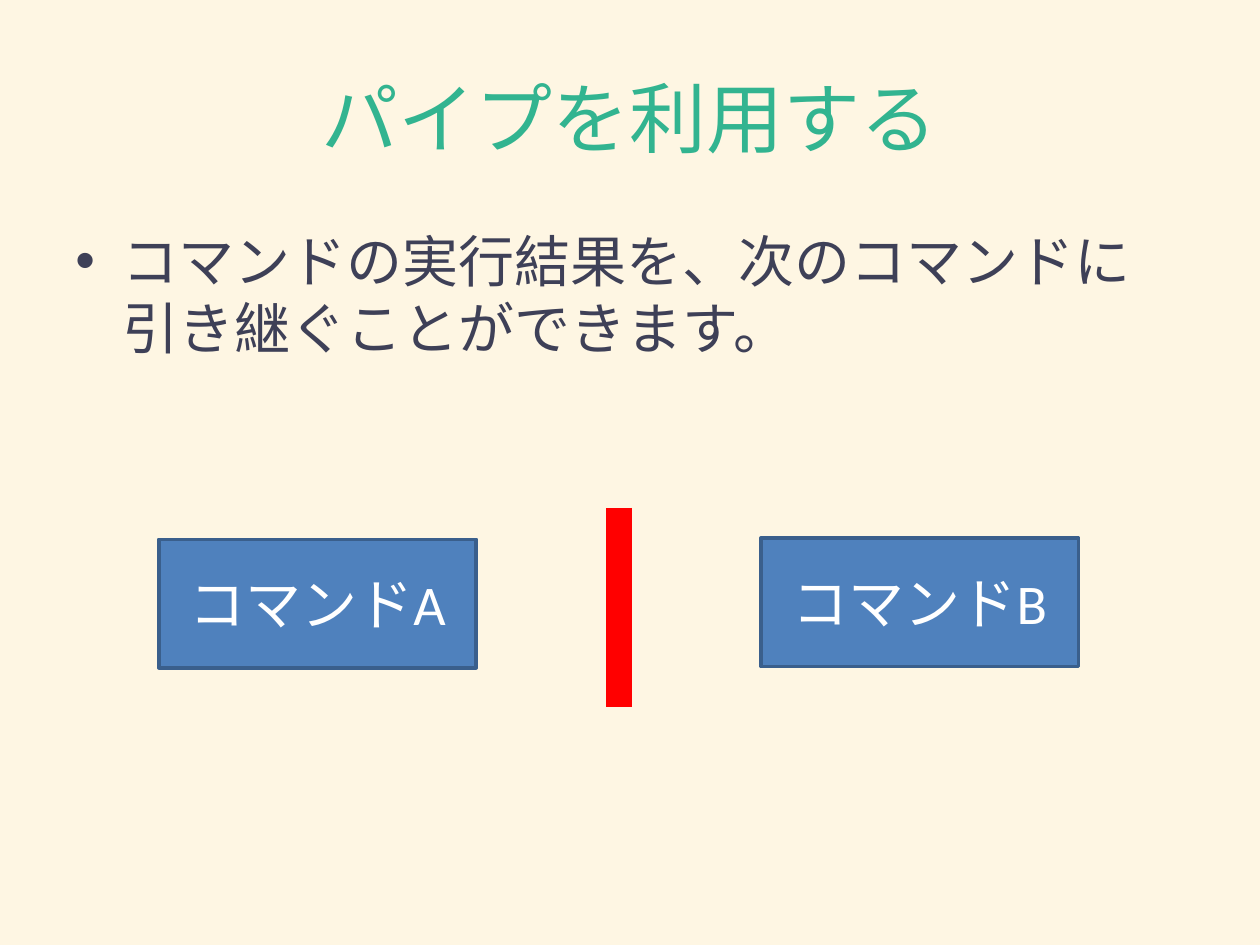
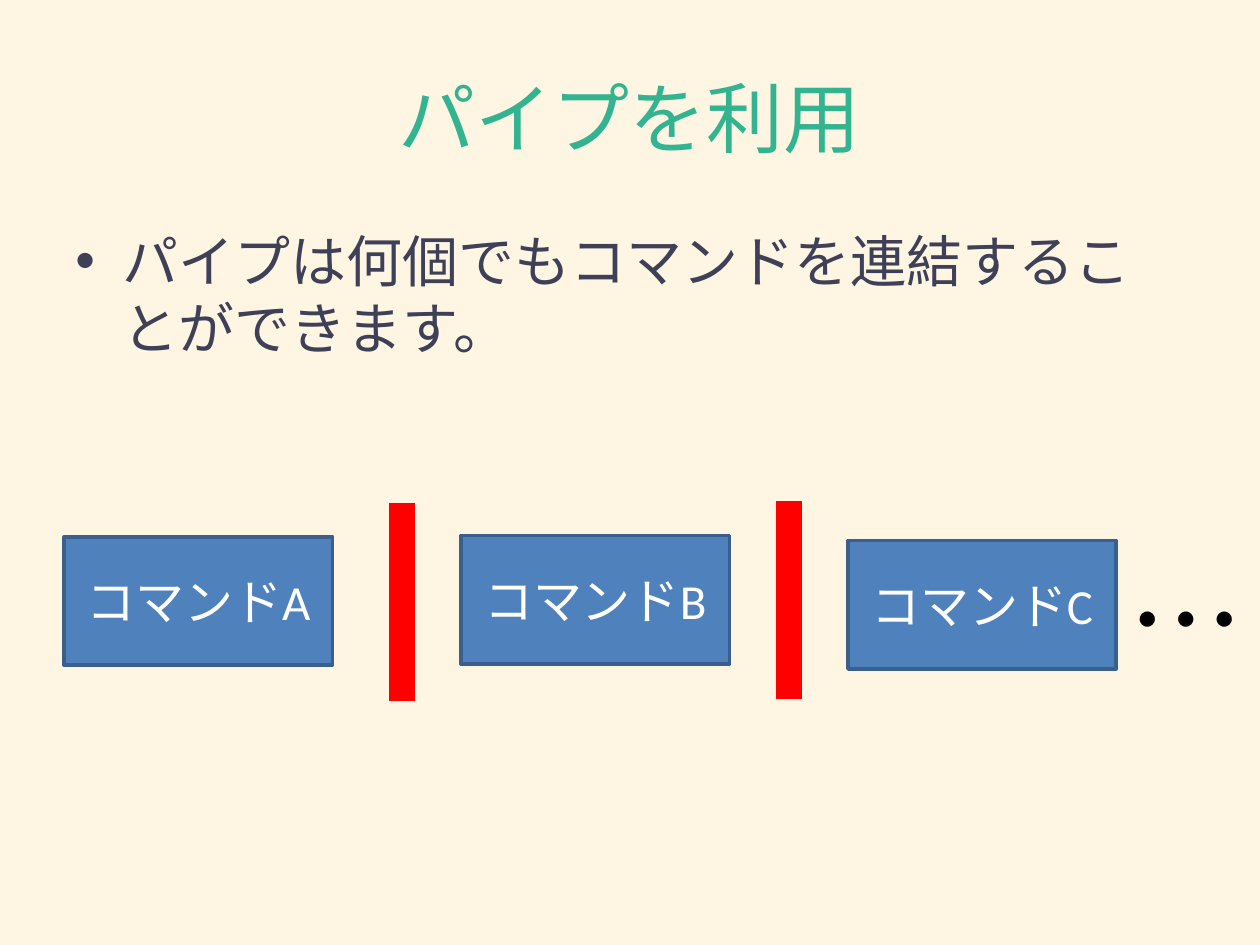
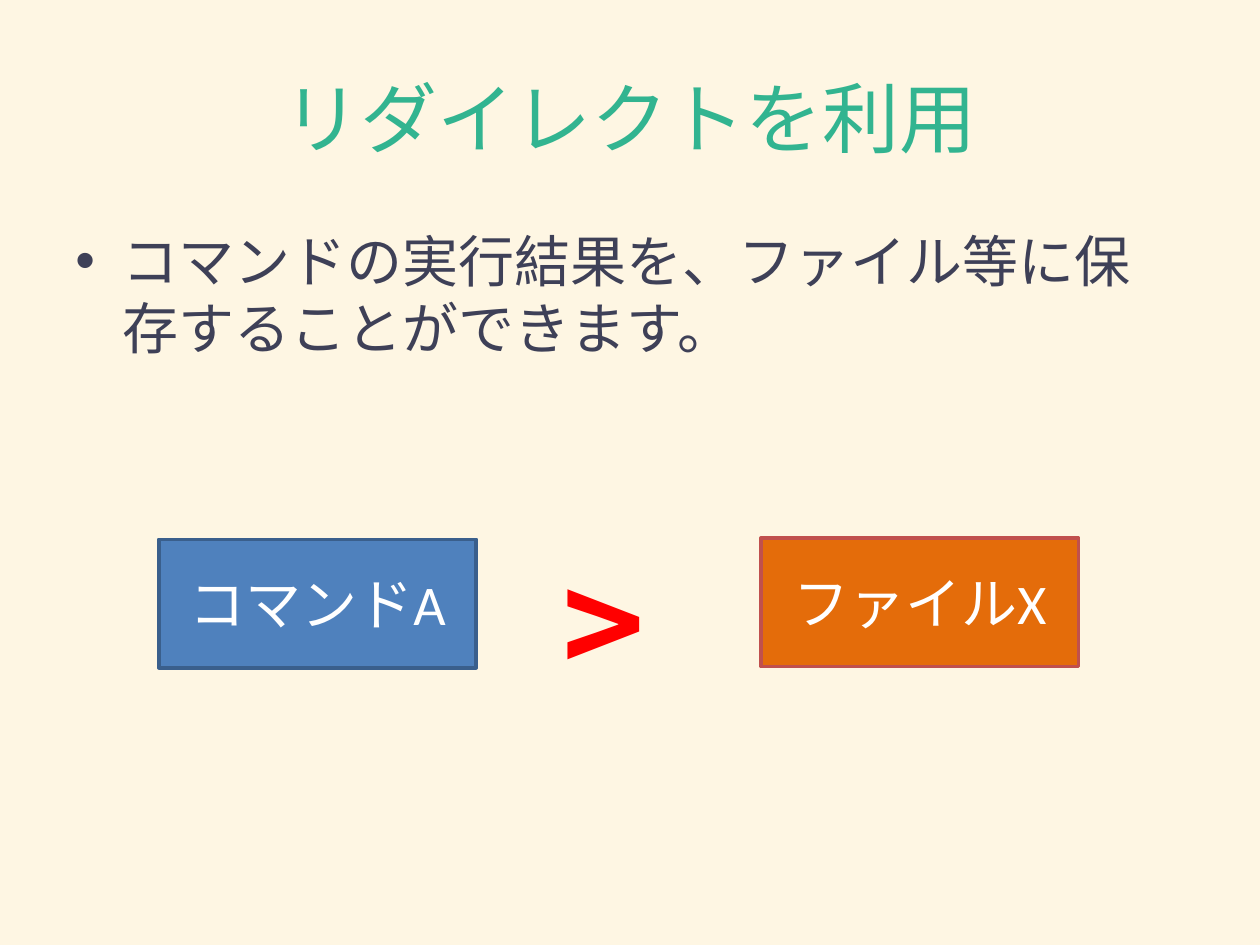
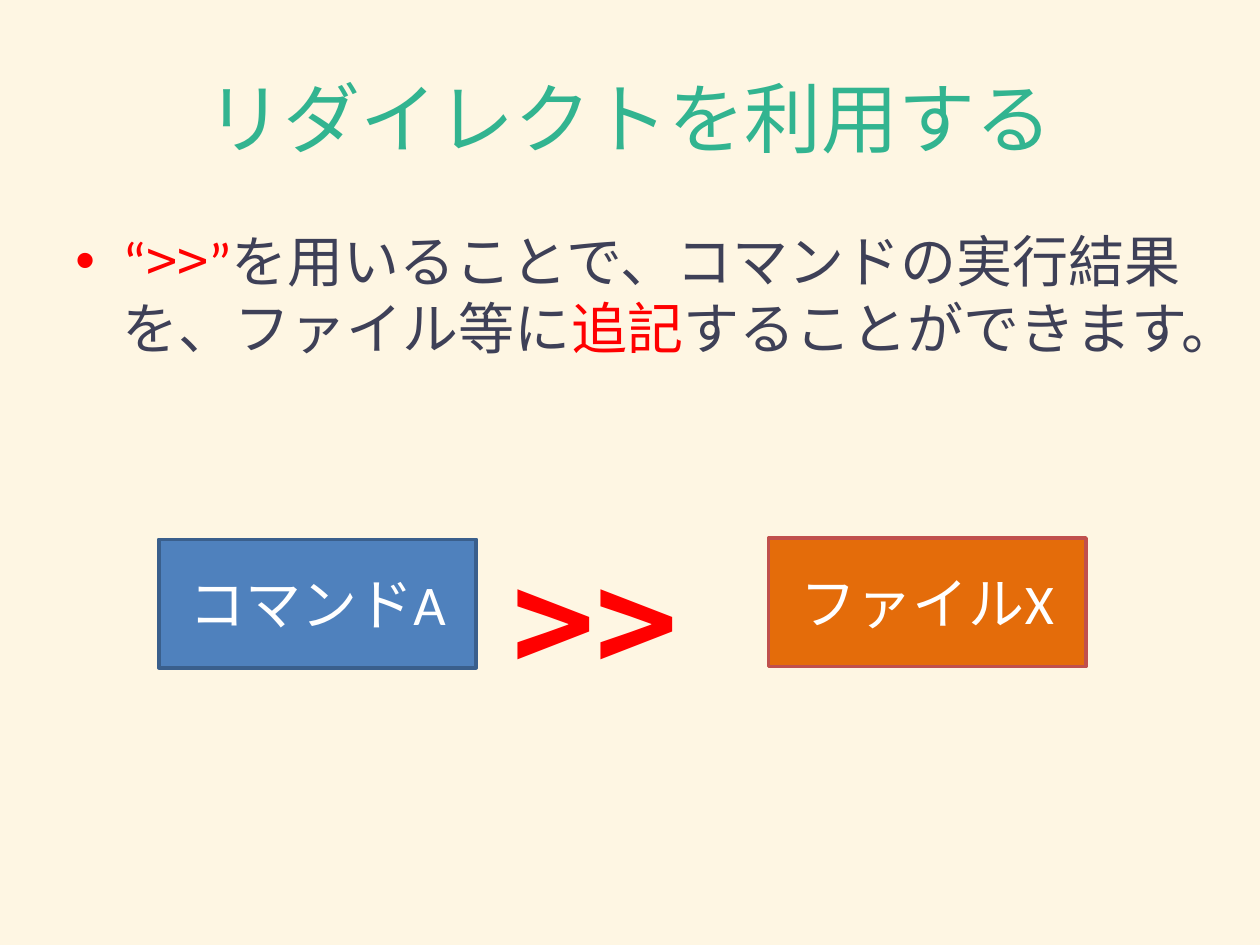
"""Four slides on shell pipes and redirection."""
from lxml import etree
from pptx import Presentation
from pptx import util as u
from pptx.dml.color import RGBColor
from pptx.enum import shapes, text
from pptx.oxml import ns

PX = 9144
CREAM = RGBColor(0xFE, 0xF6, 0xE3)
GREEN = RGBColor(0x32, 0xB4, 0x90)
INK = RGBColor(0x3E, 0x40, 0x57)
BLUE = RGBColor(0x4F, 0x81, 0xBD)
NAVY = RGBColor(0x3A, 0x5F, 0x8C)
ORANGE = RGBColor(0xE4, 0x6C, 0x0A)
BRICK = RGBColor(0xC0, 0x50, 0x4D)
RED = RGBColor(0xFF, 0x00, 0x00)
WHITE = RGBColor(0xFF, 0xFF, 0xFF)
BLACK = RGBColor(0x00, 0x00, 0x00)
SANS = "Noto Sans CJK JP"
LABEL = "Calibri"
BOX_HEIGHT = 102
INDENT = u.Pt(27)


def px(*lengths):
    return [u.Emu(length * PX) for length in lengths]


class Deck:
    def __init__(self):
        self.prs = Presentation()
        self.prs.slide_width, self.prs.slide_height = px(1000, 750)
        fill = self.prs.slide_master.background.fill
        fill.solid()
        fill.fore_color.rgb = CREAM

    def set_font(self, paragraph, size, color, name=SANS, east=SANS, bold=False):
        font = paragraph.font
        font.size, font.name, font.bold = u.Pt(size), name, bold
        font.color.rgb = color
        defaults = paragraph._p.pPr.find(ns.qn("a:defRPr"))
        etree.SubElement(defaults, ns.qn("a:ea"), typeface=east)

    def text_box(self, *place):
        frame = self.slide.shapes.add_textbox(*px(*place)).text_frame
        frame.word_wrap = True
        return frame

    def start(self, title, *body):
        self.slide = self.prs.slides.add_slide(self.prs.slide_layouts[6])
        self.title(title)
        self.bullet(body)

    def title(self, words):
        frame = self.text_box(50, 30, 900, 125)
        frame.vertical_anchor = text.MSO_ANCHOR.MIDDLE
        heading = frame.paragraphs[0]
        heading.text = words
        heading.alignment = text.PP_ALIGN.CENTER
        self.set_font(heading, 44, GREEN)

    def bullet(self, parts):
        point = self.text_box(50, 175, 900, 161).paragraphs[0]
        props = point._p.get_or_add_pPr()
        props.set("marL", str(INDENT))
        props.set("indent", str(-INDENT))
        etree.SubElement(props, ns.qn("a:buFont"), typeface="Arial")
        etree.SubElement(props, ns.qn("a:buChar"), char="•")
        self.set_font(point, 32, INK, east=LABEL)
        for part in parts:
            words, color = part if isinstance(part, tuple) else (part, None)
            run = point.add_run()
            run.text = words
            if color is not None:
                run.font.color.rgb = color

    def box(self, label, left, top, width=252, size=32, fill=BLUE, edge=NAVY):
        rect = self.slide.shapes.add_shape(
            shapes.MSO_SHAPE.RECTANGLE, *px(left, top, width, BOX_HEIGHT))
        rect.shadow.inherit = False
        rect.fill.solid()
        rect.fill.fore_color.rgb = fill
        rect.line.color.rgb = edge
        rect.line.width = u.Pt(2)
        rect.text_frame.vertical_anchor = text.MSO_ANCHOR.MIDDLE
        caption = rect.text_frame.paragraphs[0]
        caption.text = label
        caption.alignment = text.PP_ALIGN.CENTER
        self.set_font(caption, size, WHITE, LABEL)

    def file_box(self, left):
        self.box("ファイルX", left, 427, fill=ORANGE, edge=BRICK)

    def pipe(self, x, top, height):
        bar = self.slide.shapes.add_connector(
            shapes.MSO_CONNECTOR.STRAIGHT, *px(x, top, x, top + height))
        bar.line.color.rgb = RED
        bar.line.width = u.Pt(15)
        etree.SubElement(bar._element.spPr, ns.qn("a:effectLst"))

    def symbol(self, sign, place, size=80, color=RED, bold=True):
        frame = self.text_box(*place)
        frame.word_wrap = False
        frame.auto_size = text.MSO_AUTO_SIZE.SHAPE_TO_FIT_TEXT
        mark = frame.paragraphs[0]
        mark.text = sign
        self.set_font(mark, size, color, bold=bold)


def main():
    deck = Deck()

    deck.start("パイプを利用する",
               "コマンドの実行結果を、次のコマンドに引き継ぐことができます。")
    deck.box("コマンドA", 126, 428)
    deck.box("コマンドB", 604, 427)
    deck.pipe(491, 403, 158)

    deck.start("パイプを利用",
               "パイプは何個でもコマンドを連結することができます。")
    for name, left, top in (("A", 51, 426), ("B", 366, 425), ("C", 673, 429)):
        deck.box("コマンド" + name, left, top, width=213, size=28)
    for x, top in ((319, 399), (626, 398)):
        deck.pipe(x, top, 157)
    deck.symbol("…", (886, 430, 113, 121), 66, BLACK, bold=False)

    deck.start("リダイレクトを利用",
               "コマンドの実行結果を、ファイル等に保存することができます。")
    deck.box("コマンドA", 126, 428)
    deck.file_box(604)
    deck.symbol(">", (437, 422, 114, 145))

    deck.start("リダイレクトを利用する",
               ("“>>”", RED),
               "を用いることで、コマンドの実行結果を、ファイル等に",
               ("追記", RED),
               "することができます。")
    deck.box("コマンドA", 126, 428)
    deck.file_box(610)
    deck.symbol(">>", (397, 422, 207, 145))

    deck.prs.save("out.pptx")


if __name__ == "__main__":
    main()
